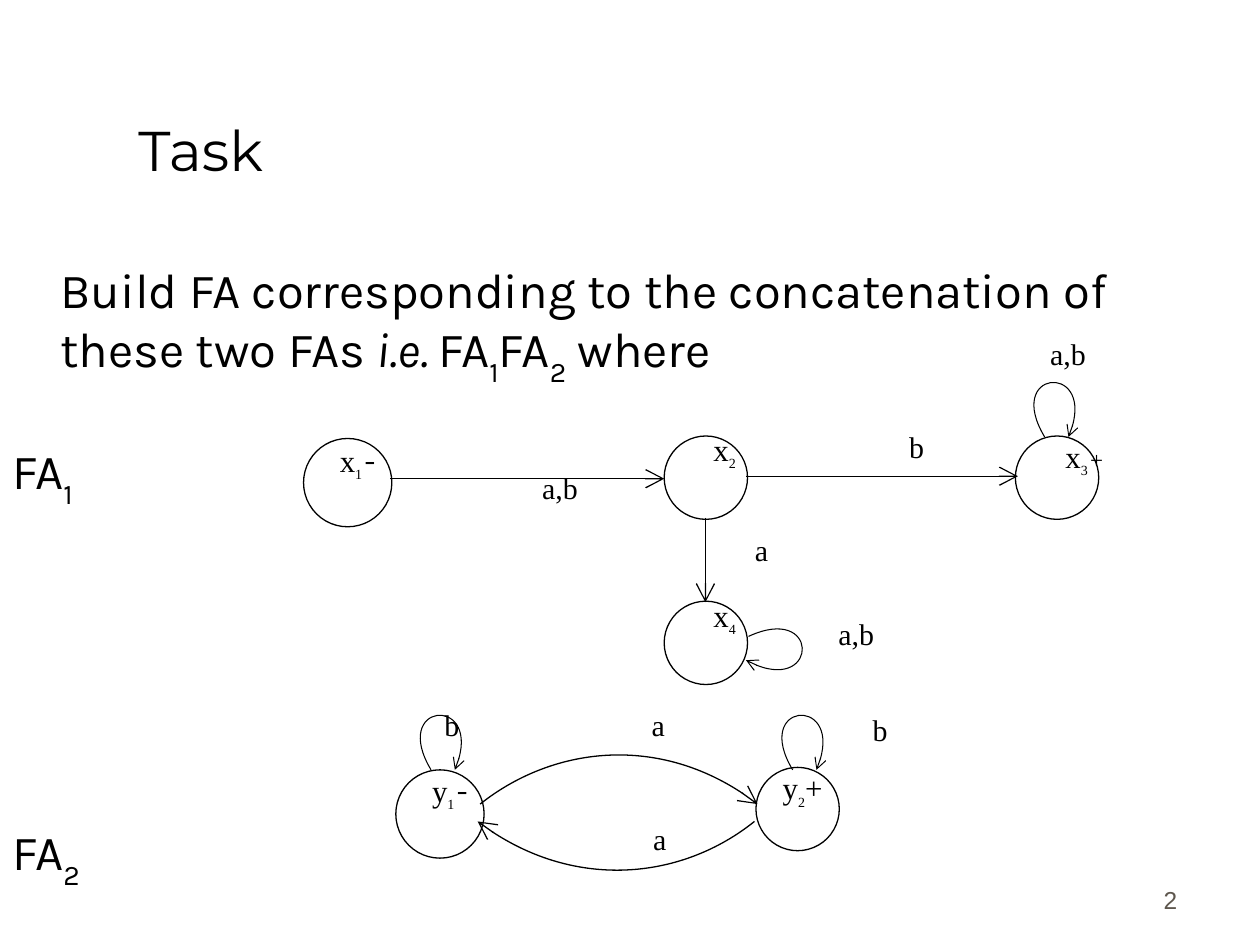
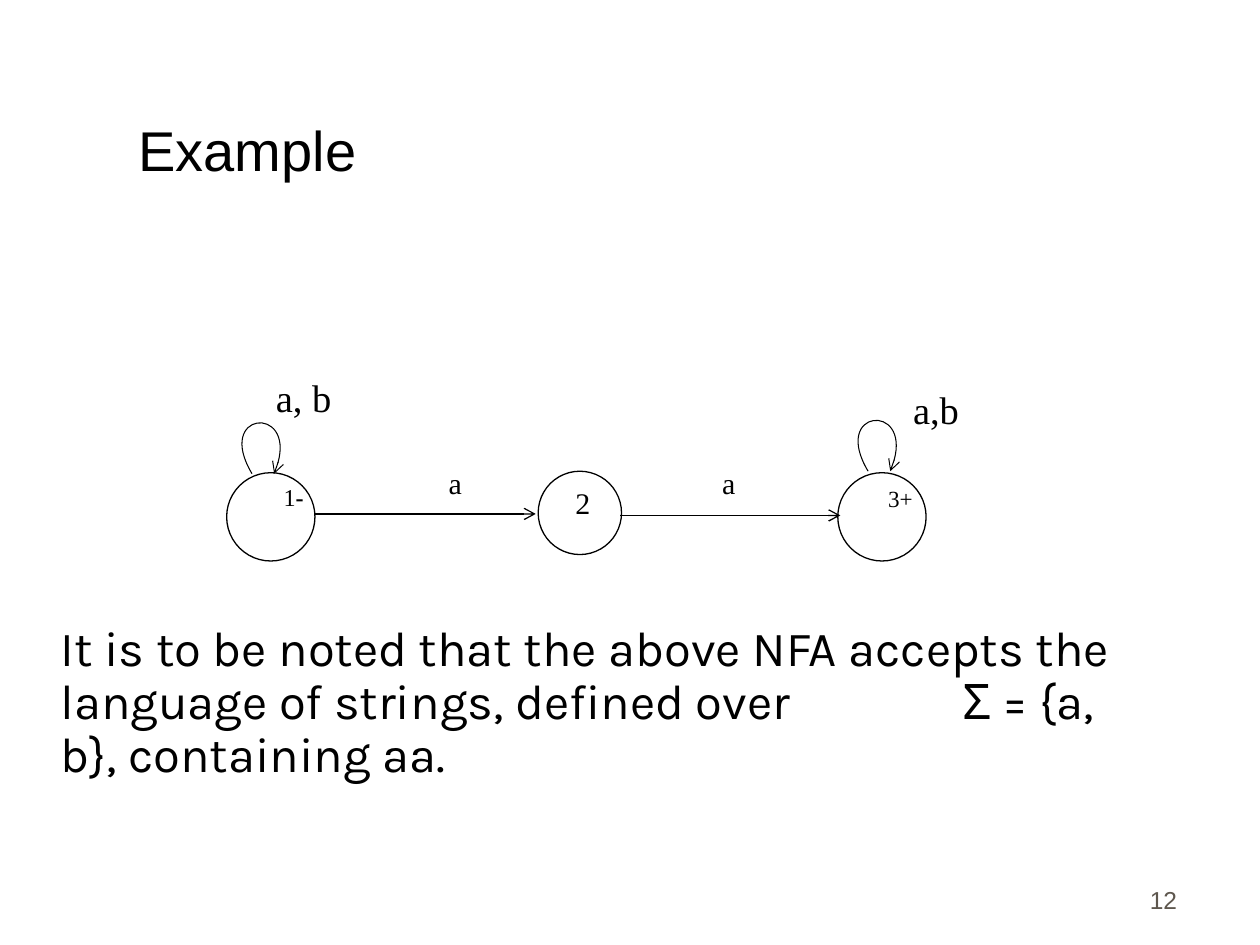
"""Builds two slides of finite automata: a concatenation task and an NFA example."""
from dataclasses import dataclass
from typing import NamedTuple

from lxml.etree import SubElement
from pptx import Presentation
from pptx.dml.color import RGBColor
from pptx.enum.shapes import MSO_CONNECTOR as Connector, MSO_SHAPE as Shape
from pptx.enum.text import MSO_ANCHOR as Anchor, PP_ALIGN as Align
from pptx.oxml.ns import qn
from pptx.util import Cm, Pt

BLACK = RGBColor(0x00, 0x00, 0x00)
WHITE = RGBColor(0xFF, 0xFF, 0xFF)
PAGE_GREY = RGBColor(0x5E, 0x57, 0x4E)
SERIF, BODY, HEADING, PLAIN = "Times New Roman", "Karla", "Montserrat", "Arial"
LABEL_WIDTH = 2.6
LOOP_ABOVE = ((-0.81, -1.35), (1.12, -1.52), (0.48, 0))
LOOP_RIGHT = ((1.42, -0.66), (1.42, 1.27), (-0.05, 0.48))


class Run(NamedTuple):
    """A stretch of text; unset size and font come from its box."""
    text: str
    size: float | None = None
    font: str | None = None
    subscript: bool = False
    italic: bool = False
    bold: bool = False


class Point(NamedTuple):
    """A place on the slide in centimetres."""
    x: float
    y: float


@dataclass(frozen=True)
class Label:
    """Text centred on x, starting at top."""
    x: float
    top: float
    runs: tuple[Run, ...]
    size: float = 17.1
    spacing: float = 0.8


@dataclass(frozen=True)
class State:
    """A circle with its name."""
    left: float
    top: float
    diameter: float
    name: Label


@dataclass(frozen=True)
class Curve:
    """A Bézier transition with four points."""
    points: tuple[Point, ...]
    width: float = 0.75
    head: str = "lg"


@dataclass(frozen=True)
class Automaton:
    """All the parts of one diagram."""
    states: tuple[State, ...]
    arrows: tuple[tuple[Point, Point], ...]
    curves: tuple[Curve, ...]
    letters: tuple[Label, ...]
    head: str


def loop(x: float, y: float, offsets: tuple = LOOP_ABOVE, scale: float = 1) -> Curve:
    """Return a self-transition that leaves its state at x, y."""
    bends = tuple(Point(x + scale * dx, y + scale * dy) for dx, dy in offsets)
    return Curve((Point(x, y), *bends), width=0.6, head="med")


def letter(x: float, top: float, text: str, size: float = 17.1, spacing: float = 0.8) -> Label:
    """Return the label of a transition."""
    return Label(x, top, (Run(text),), size, spacing)


def state_name(x: float, top: float, base: str, index: str, *sign: Run) -> Label:
    """Return a name with a subscript and an optional sign."""
    return Label(x, top, (Run(base), Run(index, 13.8, subscript=True), *sign), 17.6)


def add_text(slide, runs, left: float, top: float, width: float, height: float, *,
             size: float, font: str, color: RGBColor = BLACK, align=Align.LEFT,
             anchor=Anchor.TOP, spacing: float | None = None,
             indent: float = 0.25, tab: float | None = None) -> None:
    """Write one paragraph of runs in a text box."""
    frame = slide.shapes.add_textbox(Cm(left), Cm(top), Cm(width), Cm(height)).text_frame
    frame.word_wrap = True
    frame.vertical_anchor = anchor
    frame.margin_left, frame.margin_right = Cm(indent), Cm(0.25)
    frame.margin_top = frame.margin_bottom = Cm(0.13)
    paragraph = frame.paragraphs[0]
    paragraph.alignment = align
    if spacing:
        paragraph.line_spacing = spacing
    if tab:
        stops = SubElement(paragraph._p.get_or_add_pPr(), qn("a:tabLst"))
        SubElement(stops, qn("a:tab"), pos=str(Cm(tab)), algn="l")
    for part in runs:
        run = paragraph.add_run()
        run.text = part.text
        run.font.size = Pt(part.size or size)
        run.font.name = part.font or font
        run.font.color.rgb = color
        run.font.italic = part.italic
        run.font.bold = part.bold
        if part.subscript:
            run._r.get_or_add_rPr().set("baseline", "-30000")


def add_label(slide, label: Label) -> None:
    """Write a centred diagram label."""
    add_text(slide, label.runs, label.x - LABEL_WIDTH / 2, label.top, LABEL_WIDTH, 1.1,
             size=label.size, font=SERIF, align=Align.CENTER, spacing=label.spacing)


def add_body(slide, runs, top: float, height: float, **layout) -> None:
    """Write body text."""
    add_text(slide, runs, 0, top, 22.7, height, size=28, font=BODY, spacing=0.9, **layout)


def style_line(shape, width: float, head: str | None = None) -> None:
    """Draw a black line, with an arrowhead of the given size if any."""
    shape.line.color.rgb = BLACK
    shape.line.width = Pt(width)
    if head:
        outline = shape._element.spPr.find(qn("a:ln"))
        SubElement(outline, qn("a:tailEnd"), type="arrow", w=head, len=head)


def add_circle(slide, state: State) -> None:
    """Draw the circle of a state."""
    circle = slide.shapes.add_shape(Shape.OVAL, Cm(state.left), Cm(state.top),
                                    Cm(state.diameter), Cm(state.diameter))
    circle.shadow.inherit = False
    circle.fill.solid()
    circle.fill.fore_color.rgb = WHITE
    style_line(circle, 0.75)


def add_arrow(slide, start: Point, end: Point, head: str) -> None:
    """Draw a straight transition."""
    arrow = slide.shapes.add_connector(Connector.STRAIGHT, Cm(start.x), Cm(start.y),
                                       Cm(end.x), Cm(end.y))
    style_line(arrow, 0.75, head)
    SubElement(arrow._element.spPr, qn("a:effectLst"))


def add_curve(slide, curve: Curve) -> None:
    """Draw a transition as one cubic Bézier segment."""
    start, *bends = [(Cm(point.x), Cm(point.y)) for point in curve.points]
    builder = slide.shapes.build_freeform(*start)
    builder.add_line_segments(bends, close=False)
    shape = builder.convert_to_shape()
    segments = list(shape._element.iter(qn("a:lnTo")))
    outline = segments[0].getparent()
    bezier = SubElement(outline, qn("a:cubicBezTo"))
    for segment in segments:
        bezier.append(segment[0])
        outline.remove(segment)
    shape.shadow.inherit = False
    shape.fill.background()
    style_line(shape, curve.width, curve.head)


def add_automaton(slide, automaton: Automaton) -> None:
    """Draw circles, then transitions, then labels."""
    for state in automaton.states:
        add_circle(slide, state)
    for start, end in automaton.arrows:
        add_arrow(slide, start, end, automaton.head)
    for curve in automaton.curves:
        add_curve(slide, curve)
    for label in (*(state.name for state in automaton.states), *automaton.letters):
        add_label(slide, label)


def add_slide(deck, title: str, title_font: str, number: int):
    """Add a slide with its title and page number."""
    slide = deck.slides.add_slide(deck.slide_layouts[6])
    add_text(slide, [Run(title)], 0, 0.64, 21.59, 3.18, size=32, font=title_font,
             anchor=Anchor.BOTTOM, indent=2.79)
    add_text(slide, [Run(str(number))], 18.7, 17.3, 5.28, 1.27, size=14, font=PLAIN,
             color=PAGE_GREY, align=Align.RIGHT, anchor=Anchor.BOTTOM)
    return slide


GAP = Run(" ", 9.4, subscript=True)
MINUS = Run("-", font=BODY)

FA1 = Automaton(
    states=(
        State(6.12, 8.84, 1.78, state_name(7.21, 8.86, "x", "1", GAP, MINUS)),
        State(13.39, 8.79, 1.68, state_name(14.61, 8.64, "x", "2")),
        State(20.47, 8.79, 1.68, state_name(21.86, 8.79, "x", "3", GAP, Run("+", 13.2))),
        State(13.39, 12.12, 1.68, state_name(14.61, 11.99, "x", "4")),
    ),
    arrows=(
        (Point(7.87, 9.65), Point(13.39, 9.65)),
        (Point(15.04, 9.6), Point(20.52, 9.6)),
        (Point(14.22, 10.44), Point(14.22, 12.14)),
    ),
    curves=(loop(21.06, 8.81), loop(15.09, 12.83, LOOP_RIGHT)),
    letters=(
        letter(21.53, 6.78, "a,b"),
        letter(18.48, 8.66, "b"),
        letter(11.29, 9.47, "a,b"),
        letter(17.26, 12.42, "a,b"),
        letter(15.35, 10.72, "a"),
    ),
    head="lg",
)

FA2 = Automaton(
    states=(
        State(7.98, 15.52, 1.78, state_name(9.07, 15.52, "y", "1", GAP, MINUS)),
        State(15.24, 15.47, 1.68, state_name(16.18, 15.47, "y", "2", Run("+"))),
    ),
    arrows=(),
    curves=(
        Curve((Point(15.21, 16.56), Point(13.79, 17.7), Point(11.48, 17.98), Point(9.63, 16.56))),
        Curve((Point(9.68, 16.21), Point(11.13, 15.06), Point(13.44, 14.78), Point(15.27, 16.21))),
        loop(8.69, 15.52),
        loop(15.98, 15.52),
    ),
    letters=(
        letter(13.27, 14.25, "a"),
        letter(13.3, 16.56, "a"),
        letter(17.74, 14.35, "b"),
        letter(9.11, 14.25, "b"),
    ),
    head="lg",
)

NFA = Automaton(
    states=(
        State(4.57, 9.53, 1.78, Label(5.92, 9.7, (Run("1"), Run("-", bold=True)), 13.8)),
        State(10.85, 9.5, 1.68, letter(11.75, 9.78, "2")),
        State(16.89, 9.53, 1.78, letter(18.15, 9.75, "3+", 13.2)),
    ),
    arrows=(
        (Point(6.35, 10.36), Point(10.8, 10.36)),
        (Point(12.5, 10.39), Point(16.94, 10.39)),
    ),
    curves=(loop(5.08, 9.55, scale=0.93), loop(17.5, 9.5, scale=0.93)),
    letters=(
        letter(6.12, 7.42, "a, b", 22, 1),
        letter(18.87, 7.65, "a,b", 22, 1),
        letter(9.18, 9.37, "a"),
        letter(14.69, 9.37, "a"),
    ),
    head="med",
)


def main() -> None:
    """Build and save the deck."""
    deck = Presentation()
    deck.slide_width, deck.slide_height = Cm(25.4), Cm(19.05)

    task = add_slide(deck, "Task", HEADING, 2)
    one, two = Run("1", subscript=True), Run("2", subscript=True)
    add_body(task, [Run("Build FA corresponding to the concatenation of these two FAs "),
                    Run("i.e. ", italic=True), Run("FA"), one, Run("FA"), two, Run(" where")],
             5.23, 3, indent=1.22)
    for index, top, automaton in ((one, 8.76, FA1), (two, 16.43, FA2)):
        add_body(task, [Run("FA"), index], top, 1.5)
        add_automaton(task, automaton)

    example = add_slide(deck, "Example", PLAIN, 12)
    add_automaton(example, NFA)
    add_body(example, [Run("It is to be noted that the above NFA accepts the language of strings, "
                           "defined over\tΣ = {a, b}, containing aa.")],
             12.45, 4, indent=1.22, tab=18.19)
    deck.save("out.pptx")


if __name__ == "__main__":
    main()
